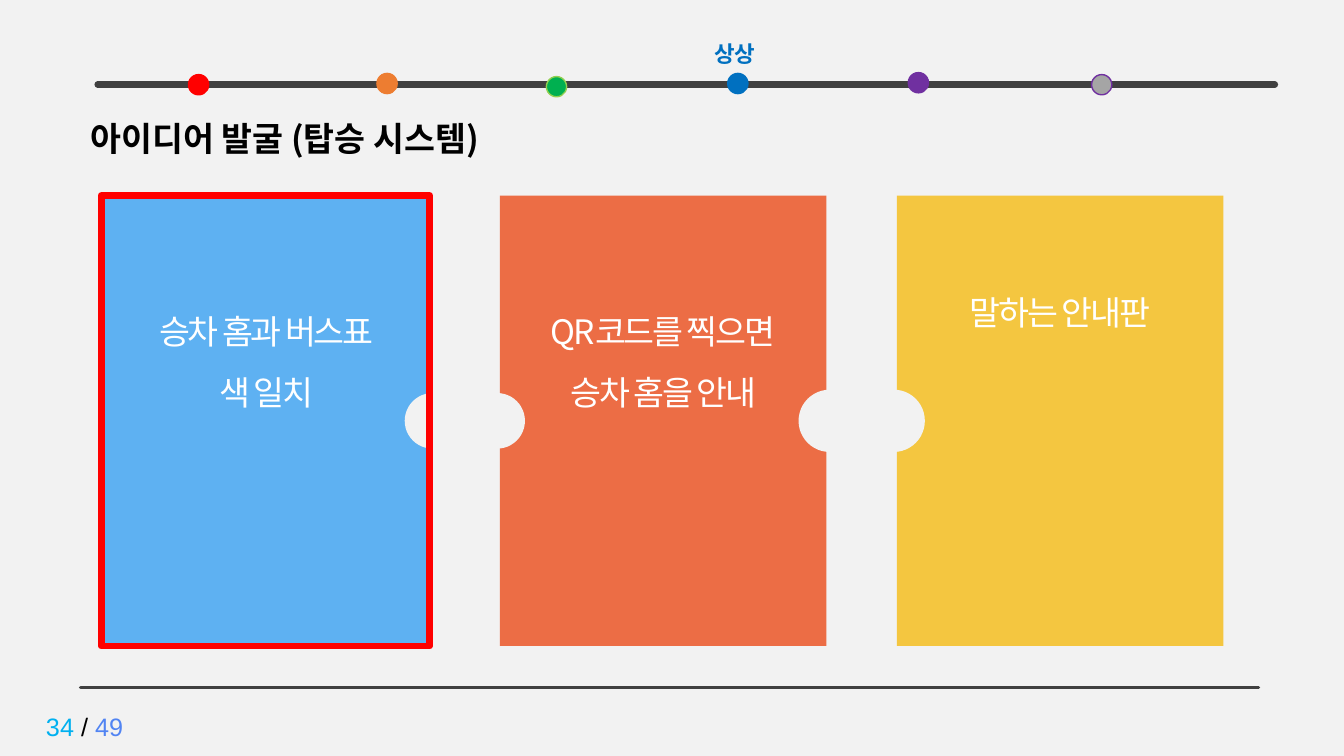
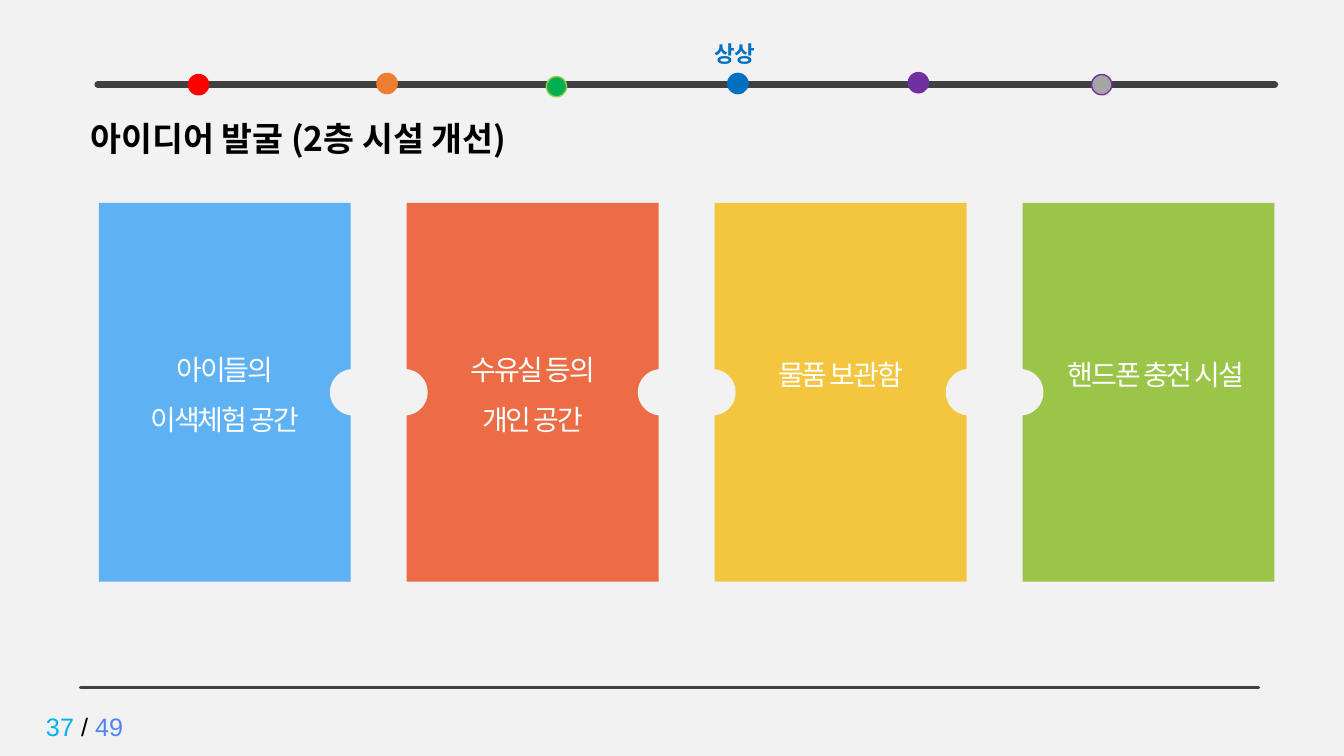
from dataclasses import dataclass

from lxml.etree import SubElement
from pptx import Presentation
from pptx.dml.color import RGBColor
from pptx.enum.shapes import MSO_CONNECTOR, MSO_SHAPE
from pptx.enum.text import PP_ALIGN
from pptx.oxml.ns import qn
from pptx.util import Cm, Pt

BACKGROUND = RGBColor(0xF2, 0xF2, 0xF2)
RULE = RGBColor(0x40, 0x40, 0x40)
BLACK = RGBColor(0, 0, 0)
WHITE = RGBColor(0xFF, 0xFF, 0xFF)
RED = RGBColor(0xFF, 0, 0)
ORANGE = RGBColor(0xED, 0x7D, 0x31)
GREEN = RGBColor(0, 0xB0, 0x50)
LIME = RGBColor(0x92, 0xD0, 0x50)
BLUE = RGBColor(0, 0x70, 0xC0)
PURPLE = RGBColor(0x70, 0x30, 0xA0)
GRAY = RGBColor(0xA5, 0xA5, 0xA5)
CYAN = RGBColor(0, 0xB0, 0xF0)
PERIWINKLE = RGBColor(0x51, 0x84, 0xF3)
CARD_BLUE = RGBColor(0x39, 0xA1, 0xF3)
CARD_RED = RGBColor(0xEB, 0x4C, 0x1A)
CARD_YELLOW = RGBColor(0xF5, 0xBC, 0x14)
CARD_GREEN = RGBColor(0x84, 0xBA, 0x1E)

KOREAN = "Noto Sans CJK KR"
LATIN = "Arial"
PAGE_COUNT = 49
STATION_SIZE = 0.51
STATIONS = [
    (4.75, 1.88, RED, RED),
    (9.5, 1.85, ORANGE, ORANGE),
    (13.77, 1.93, GREEN, LIME),
    (18.34, 1.85, BLUE, BLUE),
    (22.89, 1.83, PURPLE, PURPLE),
    (27.51, 1.88, GRAY, PURPLE),
]


@dataclass
class Card:
    """One idea: its lines, colour, text offset from the card top and sideways shift."""
    lines: tuple
    colour: RGBColor
    text_top: float
    shift: float = 0


@dataclass
class CardRow:
    """Measures of a row of cards joined by notches, in centimetres and points."""
    left: float
    top: float
    width: float
    height: float
    pitch: float
    notch_heights: tuple
    text_size: int


def add_block(page, kind, box, fill=None, line=None, weight=1, alpha=None):
    """Add a preset shape in a (left, top, width, height) box."""
    block = page.shapes.add_shape(kind, *map(Cm, box))
    block.shadow.inherit = False
    if fill is None:
        block.fill.background()
    else:
        block.fill.solid()
        block.fill.fore_color.rgb = fill
        if alpha:
            colour = block.fill._xPr.find(".//" + qn("a:srgbClr"))
            SubElement(colour, qn("a:alpha"), val=str(alpha * 1000))
    if line is None:
        block.line.fill.background()
    else:
        block.line.color.rgb = line
        block.line.width = Pt(weight)
    return block


def add_rule(page, left, right, top, weight):
    """Add a horizontal line with round ends."""
    rule = page.shapes.add_connector(
        MSO_CONNECTOR.STRAIGHT, Cm(left), Cm(top), Cm(right), Cm(top))
    rule.line.color.rgb = RULE
    rule.line.width = Pt(weight)
    rule.line._get_or_add_ln().set("cap", "rnd")
    SubElement(rule._element.spPr, qn("a:effectLst"))


def format_span(span, size, colour, font=KOREAN, bold=False, spacing=None):
    """Set the typeface, size, colour and letter spacing of a run."""
    span.font.name = font
    span.font.size = Pt(size)
    span.font.color.rgb = colour
    span.font.bold = bold
    properties = span._r.get_or_add_rPr()
    SubElement(properties, qn("a:ea"), typeface=font)
    if spacing:
        properties.set("spc", str(spacing))


def add_text(page, box, lines, size, colour, wrap=True, **style):
    """Add a text box with one paragraph for each line."""
    frame = page.shapes.add_textbox(*map(Cm, box)).text_frame
    frame.word_wrap = wrap
    frame.text = "\n".join(lines)
    for para in frame.paragraphs:
        for span in para.runs:
            format_span(span, size, colour, **style)
    return frame


def add_timeline(page):
    """Draw the progress line, its stations and the current stage label."""
    add_rule(page, 2.46, 32.13, 2.13, 4.5)
    for left, top, fill, line in STATIONS:
        add_block(page, MSO_SHAPE.OVAL, (left, top, STATION_SIZE, STATION_SIZE), fill, line)
    add_text(page, (17.75, 0.89, 1.65, 0.94), ["상상"], 16, BLUE, wrap=False, bold=True)


def add_footer(page, number):
    """Draw the bottom line and the page number."""
    add_rule(page, 2.03, 31.72, 17.32, 2.25)
    frame = add_text(page, (0.91, 17.81, 2.79, 1.02), [""], 18, BLACK)
    parts = [(f"{number} ", CYAN), ("/ ", BLACK), (str(PAGE_COUNT), PERIWINKLE)]
    for text, colour in parts:
        span = frame.paragraphs[0].add_run()
        span.text = text
        format_span(span, 18, colour, font=LATIN)


def add_card(page, card, box, text_size):
    """Draw a coloured card and its centred text inside a box."""
    left, top, width, height = box
    add_block(page, MSO_SHAPE.RECTANGLE, box, card.colour, alpha=80)
    text_box = (left + card.shift, top + card.text_top, width, 1.5 * len(card.lines))
    frame = add_text(page, text_box, card.lines, text_size, WHITE, spacing=-150)
    for para in frame.paragraphs:
        para.alignment = PP_ALIGN.CENTER
        if len(card.lines) > 1:
            para.line_spacing = 1.5


def add_cards(page, cards, row):
    """Draw the cards at an equal pitch and a notch across each gap."""
    for index, card in enumerate(cards):
        left = row.left + index * row.pitch
        add_card(page, card, (left, row.top, row.width, row.height), row.text_size)
    gap = row.pitch - row.width
    for index, height in enumerate(row.notch_heights):
        width = gap + 0.9 * height
        centre = row.left + row.width + gap / 2 + index * row.pitch
        top = row.top + (row.height - height) / 2
        notch = add_block(page, MSO_SHAPE.ROUNDED_RECTANGLE,
                          (centre - width / 2, top, width, height), BACKGROUND)
        notch.adjustments[0] = 0.5


def add_idea_page(deck, number, title, cards, row, chosen=None):
    """Build a slide of idea cards, outlining the chosen card if there is one."""
    page = deck.slides.add_slide(deck.slide_layouts[6])
    page.background.fill.solid()
    page.background.fill.fore_color.rgb = BACKGROUND
    add_timeline(page)
    add_text(page, (2.03, 2.84, 16.3, 1.27), [title], 24, BLACK, bold=True)
    add_footer(page, number)
    add_cards(page, cards, row)
    if chosen is not None:
        left = row.left + chosen * row.pitch
        add_block(page, MSO_SHAPE.RECTANGLE,
                  (left - 0.05, row.top, row.width + 0.05, row.height), line=RED, weight=5)


def main():
    """Build and save the deck."""
    deck = Presentation()
    deck.slide_width, deck.slide_height = Cm(33.87), Cm(19.05)
    boarding = [
        Card(("승차 홈과 버스표", "색 일치"), CARD_BLUE, 2.28),
        Card(("QR코드를 찍으면", "승차 홈을 안내"), CARD_RED, 2.28),
        Card(("말하는 안내판",), CARD_YELLOW, 2.31),
    ]
    add_idea_page(deck, 34, "아이디어 발굴 (탑승 시스템)", boarding,
                  CardRow(2.6, 4.93, 8.23, 11.35, 10, (1.4, 1.57), 24), chosen=0)
    facilities = [
        Card(("아이들의", "이색체험 공간"), CARD_BLUE, 3.22),
        Card(("수유실 등의", "개인 공간"), CARD_RED, 3.22),
        Card(("물품 보관함",), CARD_YELLOW, 3.78),
        Card(("핸드폰 충전 시설",), CARD_GREEN, 3.78, 0.19),
    ]
    add_idea_page(deck, 37, "아이디어 발굴 (2층 시설 개선)", facilities,
                  CardRow(2.49, 5.11, 6.35, 9.55, 7.76, (1.17,) * 3, 20))
    deck.save("out.pptx")


if __name__ == "__main__":
    main()
